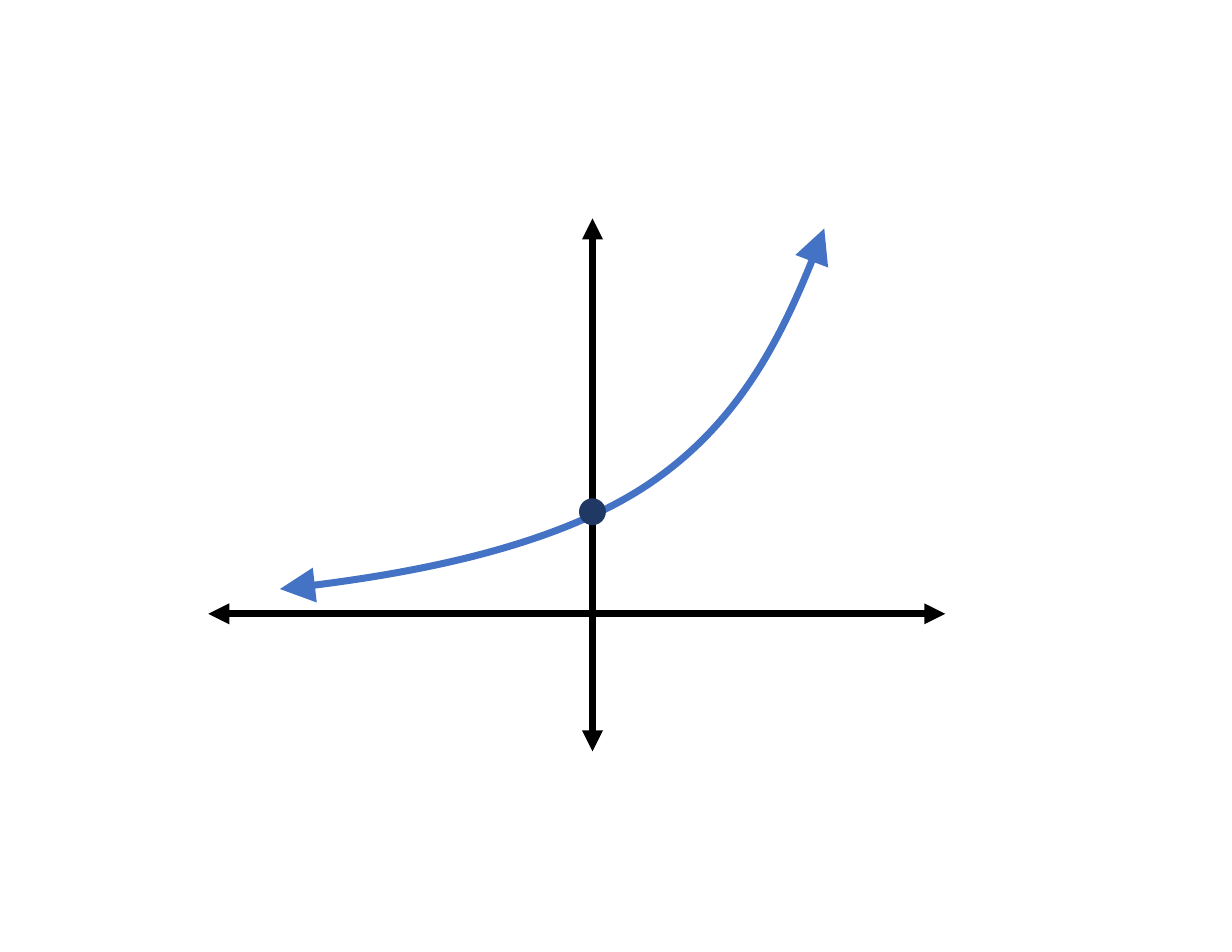
from lxml import etree
from pptx import Presentation
from pptx.dml.color import RGBColor
from pptx.enum import shapes
from pptx.oxml import ns
from pptx.util import Pt

BLACK = RGBColor(0x00, 0x00, 0x00)
BLUE = RGBColor(0x44, 0x72, 0xC4)
NAVY = RGBColor(0x20, 0x38, 0x64)

LINE_WIDTH = 4.5
DOT_SIZE = 17.3
INTERCEPT = -65.6
# Start point, then two Bézier segments of three points each, from the origin
CURVE = [
    (149, -247.7),
    (128.9, -191.6), (93.6, -121.7), (35.3, -82.8),
    (-23.1, -44), (-128.2, -23.1), (-200.9, -15.9),
]


def style_line(shape, color, head_size):
    """Draw the line in one colour with a triangle at each end."""
    shape.line.color.rgb = color
    shape.line.width = Pt(LINE_WIDTH)
    line = shape.line._get_or_add_ln()
    for end in ("a:headEnd", "a:tailEnd"):
        etree.SubElement(line, ns.qn(end), type="triangle", w=head_size, len=head_size)


def add_axis(slide, start, end):
    axis = slide.shapes.add_connector(
        shapes.MSO_CONNECTOR.STRAIGHT, *(Pt(value) for value in start + end))
    style_line(axis, BLACK, "med")
    etree.SubElement(axis._element.spPr, ns.qn("a:effectLst"))


def bend_segments(shape):
    """Turn each three straight segments into one cubic Bézier segment."""
    segments = list(shape._element.iter(ns.qn("a:lnTo")))
    for index in range(0, len(segments), 3):
        group = segments[index:index + 3]
        bezier = etree.Element(ns.qn("a:cubicBezTo"))
        group[0].addprevious(bezier)
        for segment in group:
            bezier.append(segment[0])
            segment.getparent().remove(segment)


def add_curve(slide, origin_x, origin_y):
    points = [(Pt(origin_x + x), Pt(origin_y + y)) for x, y in CURVE]
    builder = slide.shapes.build_freeform(*points[0])
    builder.add_line_segments(points[1:], close=False)
    curve = builder.convert_to_shape()
    bend_segments(curve)
    curve.fill.background()
    style_line(curve, BLUE, "lg")
    curve.shadow.inherit = False


def add_dot(slide, center_x, center_y):
    dot = slide.shapes.add_shape(
        shapes.MSO_SHAPE.OVAL, Pt(center_x - DOT_SIZE / 2), Pt(center_y - DOT_SIZE / 2),
        Pt(DOT_SIZE), Pt(DOT_SIZE))
    dot.fill.solid()
    dot.fill.fore_color.rgb = NAVY
    dot.line.fill.background()
    dot.shadow.inherit = False


def add_growth_graph(slide, left, top, width, height):
    origin_x, origin_y = left + 247, top + 254.2
    add_curve(slide, origin_x, origin_y)
    add_axis(slide, (left + width, origin_y), (left, origin_y))
    add_axis(slide, (origin_x, top), (origin_x, top + height))
    add_dot(slide, origin_x, origin_y + INTERCEPT)


def main():
    presentation = Presentation()
    presentation.slide_width, presentation.slide_height = Pt(792), Pt(612)
    slide = presentation.slides.add_slide(presentation.slide_layouts[6])
    add_growth_graph(slide, left=133.9, top=140.4, width=473.8, height=342.7)
    presentation.save("out.pptx")


if __name__ == "__main__":
    main()
